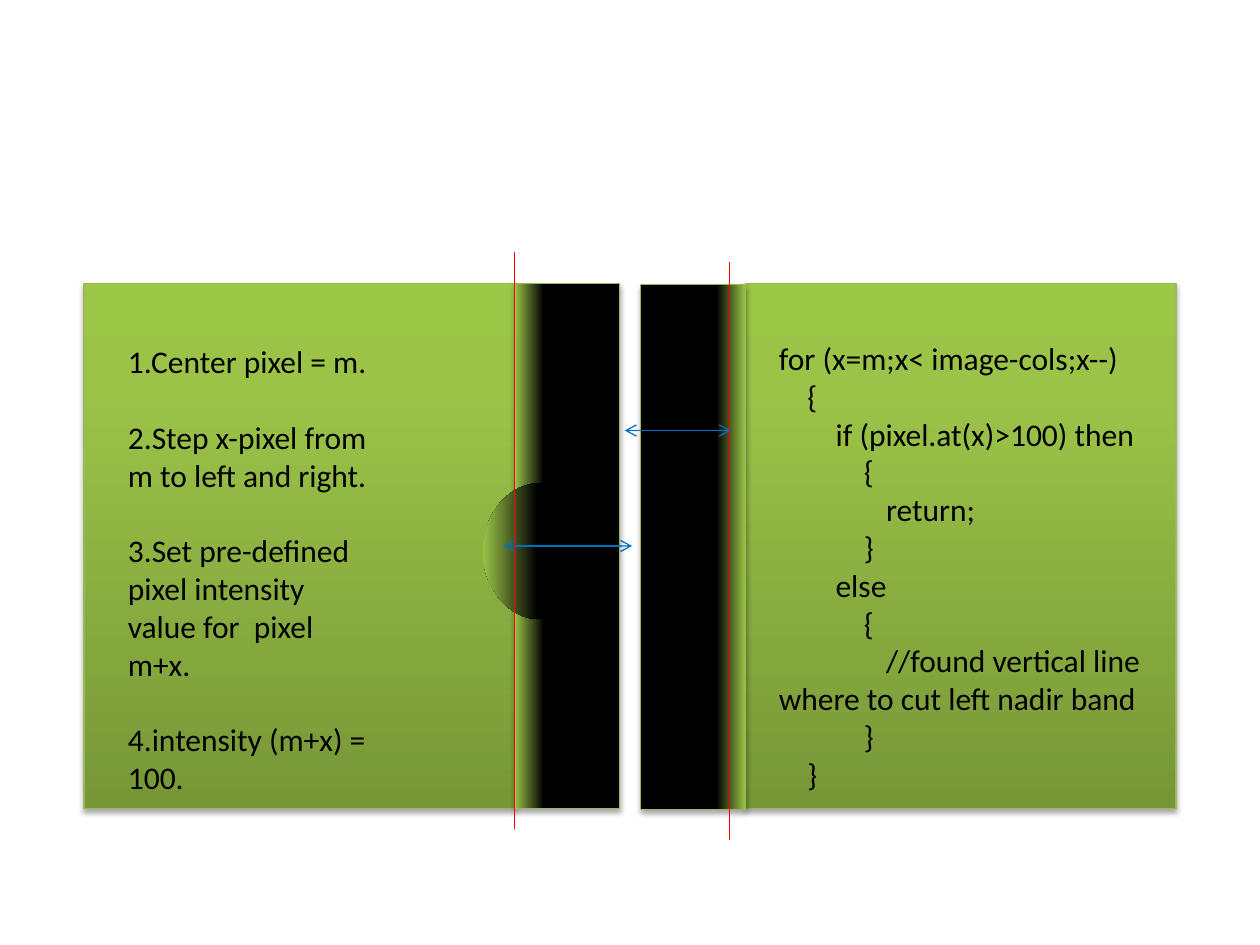
from lxml.etree import SubElement
from pptx import Presentation
from pptx.dml.color import RGBColor
from pptx.enum.shapes import MSO_CONNECTOR, MSO_SHAPE
from pptx.enum.text import MSO_AUTO_SIZE
from pptx.oxml.ns import qn
from pptx.util import Pt

SCALE = 7620  # EMU in one px, 120 px to the inch


def px(n):
    return n * SCALE


def rgb(code):
    return RGBColor.from_string(code)


def child(node, tag, **attrs):
    return SubElement(node, qn(tag), {k: str(v) for k, v in attrs.items()})


class Deck:
    font, size, ink = "Calibri", 18, "000000"
    edge, thin = "98B955", 0.75

    def __init__(self, wide, high):
        self.prs = Presentation()
        self.prs.slide_width, self.prs.slide_height = px(wide), px(high)
        self.slide = self.prs.slides.add_slide(self.prs.slide_layouts[6])

    def shade(self, shape, stops, angle):
        """Fill a shape with a linear gradient of (percent, colour) stops."""
        shape.fill.gradient()
        grad = shape.element.spPr.find(qn("a:gradFill"))
        for node in list(grad):
            grad.remove(node)
        items = child(grad, "a:gsLst")
        for place, code in stops:
            stop = child(items, "a:gs", pos=place * 1000)
            child(stop, "a:srgbClr", val=code)
        child(grad, "a:lin", ang=angle * 60000, scaled=0)

    def shape(self, kind, box, stops, angle, framed=True):
        item = self.slide.shapes.add_shape(kind, *map(px, box))
        item.shadow.inherit = False
        self.shade(item, stops, angle)
        if not framed:
            item.line.fill.background()
            return
        item.line.color.rgb = rgb(self.edge)
        item.line.width = Pt(self.thin)
        # Soft shadow straight below
        effects = item.element.spPr.find(qn("a:effectLst"))
        cast = child(effects, "a:outerShdw", blurRad=Pt(3.1), dist=Pt(1.8),
                     dir=90 * 60000, rotWithShape=0)
        tint = child(cast, "a:srgbClr", val="000000")
        child(tint, "a:alpha", val=35000)

    def text(self, box, lines, gap=0):
        """Write (indent, words) lines, each indented on its first row."""
        frame = self.slide.shapes.add_textbox(*map(px, box)).text_frame
        frame.word_wrap = True
        frame.auto_size = MSO_AUTO_SIZE.SHAPE_TO_FIT_TEXT
        for i, (indent, words) in enumerate(lines):
            para = frame.paragraphs[0] if i == 0 else frame.add_paragraph()
            if i:
                para.space_before = Pt(gap)
            props = para._p.get_or_add_pPr()
            props.set("marL", "0")
            props.set("indent", str(px(indent)))
            run = para.add_run()
            run.text = words
            run.font.name, run.font.size = self.font, Pt(self.size)
            run.font.color.rgb = rgb(self.ink)

    def line(self, x1, y1, x2, y2, code, arrows=False):
        item = self.slide.shapes.add_connector(
            MSO_CONNECTOR.STRAIGHT, *map(px, (x1, y1, x2, y2)))
        item.line.color.rgb = rgb(code)
        item.line.width = Pt(self.thin)
        if arrows:
            stroke = item.line._get_or_add_ln()
            for end in ("a:headEnd", "a:tailEnd"):
                child(stroke, end, type="arrow")
        child(item.element.spPr, "a:effectLst")


def main():
    deck = Deck(1200, 900)

    # Green panels, then the dark bands beside them
    green = [(0, "779737"), (80, "9BC348"), (100, "9DC746")]
    for left in (80, 710):
        deck.shape(MSO_SHAPE.RECTANGLE, (left, 270, 410, 500), green, 270)
    band = [(72, "000000"), (100, "9BC348"), (100, "9DC746")]
    for left, top, angle in ((610, 271, 0), (490, 270, 180)):
        deck.shape(MSO_SHAPE.RECTANGLE, (left, top, 100, 500), band, angle)

    # Steps, one empty row apart
    steps = ["1.Center pixel = m.",
             "2.Step x-pixel from m to left and right.",
             "3.Set pre-defined pixel intensity value for  pixel m+x.",
             "4.intensity (m+x) = 100."]
    deck.text((110, 320, 260, 449), [(0, step) for step in steps], gap=21.6)

    # Code, indented by depth
    tab = 27
    code = [(0, "for (x=m;x< image-cols;x--)"),
            (tab, "{"),
            (2 * tab, "if (pixel.at(x)>100) then"),
            (3 * tab, "{"),
            (102, "return;"),
            (3 * tab, "}"),
            (2 * tab, "else"),
            (3 * tab, "{"),
            (102, "//found vertical line where to cut left nadir band"),
            (3 * tab, "}"),
            (tab, "}")]
    deck.text((730, 317, 440, 449), code)

    # Bulge on the left edge
    bulge = [(53, "000000"), (100, "9BC348"), (100, "9DC746")]
    deck.shape(MSO_SHAPE.OVAL, (460, 460, 110, 130), bulge, 180, framed=False)

    # Search spans and cut lines
    deck.line(602, 520, 480, 520, "0070C0", arrows=True)
    deck.line(595, 410, 696, 410, "0070C0", arrows=True)
    for x, top in ((490, 240), (695, 250)):
        deck.line(x, top, x, top + 550, "FF0000")

    deck.prs.save("out.pptx")


if __name__ == "__main__":
    main()
